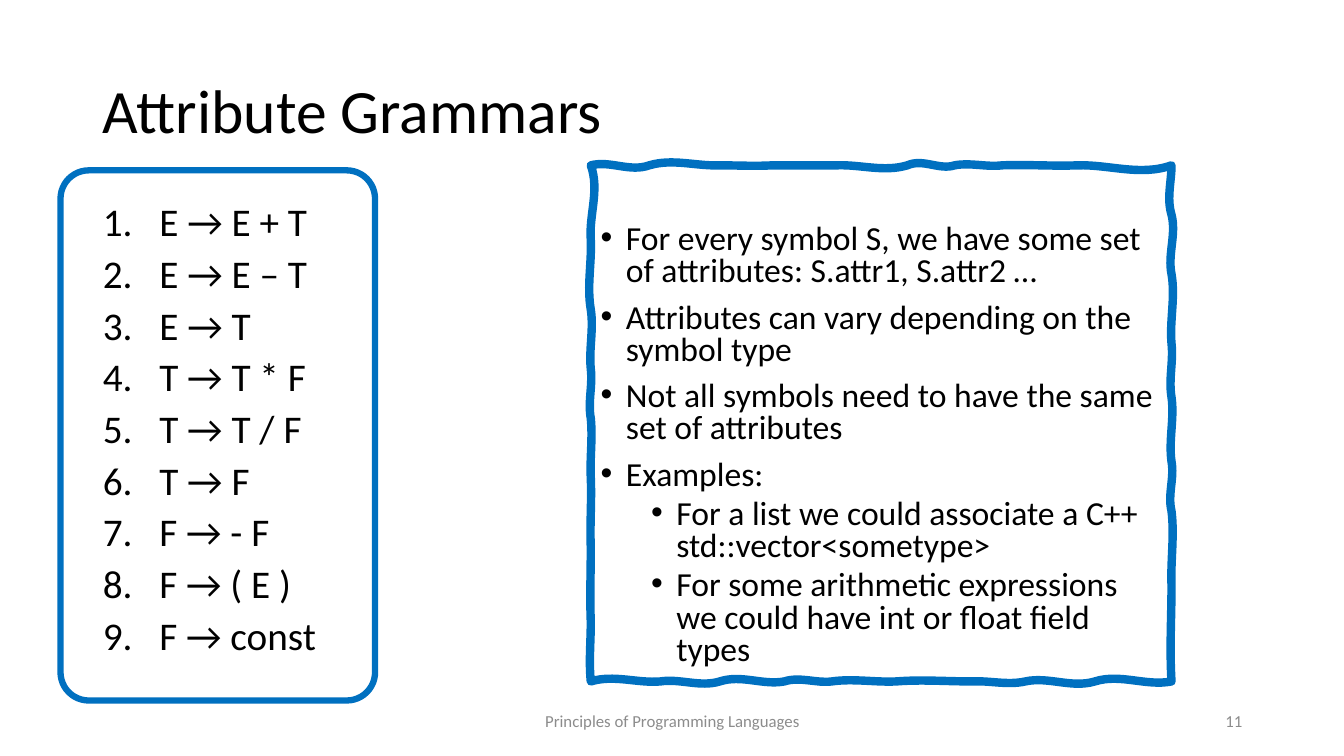
from lxml.etree import SubElement
from pptx import Presentation
from pptx.dml.color import RGBColor
from pptx.enum.shapes import MSO_SHAPE as SHAPE
from pptx.enum.text import MSO_ANCHOR as ANCHOR, MSO_AUTO_SIZE as AUTO, PP_ALIGN as ALIGN
from pptx.oxml.ns import qn
from pptx.util import Inches, Pt

# Content
TITLE = "Attribute Grammars"
RULES = ["E → E + T", "E → E – T", "E → T", "T → T * F", "T → T / F",
         "T → F", "F → - F", "F → ( E )", "F → const"]
NOTES = [
    (0, "For every symbol S, we have some set of attributes: S.attr1, S.attr2 …"),
    (0, "Attributes can vary depending on the symbol type"),
    (0, "Not all symbols need to have the same set of attributes"),
    (0, "Examples: "),
    (1, "For a list we could associate a C++ std::vector<sometype>"),
    (1, "For some arithmetic expressions we could have int or float field types"),
]
FOOTERS = [("Principles of Programming Languages", 4.42, 4.5, ALIGN.CENTER),
           ("11", 9.42, 3, ALIGN.RIGHT)]
BLACK, GREY, BLUE = "000000", "8C8C8C", "0070C0"

# Hand-drawn frame: each wave is (end along the side, first bend, second bend)
LEFT, TOP, RIGHT, BOTTOM = 5.86, 1.64, 11.62, 6.76
TOP_WAVES = [(6.44, -.05, .07), (7.14, -.07, .01), (7.66, 0, .01), (8.3, 0, 0),
             (9, -.01, .07), (9.47, -.07, .05), (9.94, -.03, .02),
             (10.69, -.01, .01), (RIGHT, -.01, .11)]
RIGHT_WAVES = [(2.13, 0, -.05), (2.72, .05, -.04), (3.41, .04, -.02),
               (3.94, .02, -.03), (4.58, .03, -.03), (5.07, .03, -.04),
               (5.81, .03, -.01), (BOTTOM, 0, -.02)]
BOTTOM_WAVES = [(10.86, .05, -.08), (10.17, .07, -.05), (9.64, .04, -.01),
                (8.89, 0, -.02), (8.25, .01, -.03), (7.78, .02, -.05),
                (7.14, .04, -.07), (6.55, .06, -.03), (LEFT, .02, -.07)]
LEFT_WAVES = [(6.17, -.02, 0), (5.43, -.01, 0), (4.74, -.01, .01),
              (4.15, -.01, .02), (3.66, -.03, .02), (3.07, -.02, .03),
              (2.38, -.04, .01), (TOP, -.02, .09)]
# Start along the side, fixed edge, waves, runs horizontally
SIDES = [(LEFT, TOP, TOP_WAVES, True), (TOP, RIGHT, RIGHT_WAVES, False),
         (RIGHT, BOTTOM, BOTTOM_WAVES, True), (BOTTOM, LEFT, LEFT_WAVES, False)]


def color(value):
    return RGBColor.from_string(value)


def place(part, left, top, width, height):
    part.left, part.top = Inches(left), Inches(top)
    part.width, part.height = Inches(width), Inches(height)


def write(paragraph, text, size, ink=BLACK):
    run = paragraph.add_run()
    run.text = text
    run.font.name, run.font.size = "Calibri", Pt(size)
    run.font.color.rgb = color(ink)


def fill_list(holder, items, size, indent, numbered=False):
    frame = holder.text_frame
    frame.word_wrap, frame.auto_size = True, AUTO.NONE
    frame.vertical_anchor = ANCHOR.TOP
    for i, (level, text) in enumerate(items):
        paragraph = frame.paragraphs[0] if i == 0 else frame.add_paragraph()
        paragraph.level, paragraph.line_spacing = level, 0.8
        paragraph.alignment = ALIGN.LEFT
        paragraph.space_before = Pt(5 if level else 10)
        paragraph.space_after = Pt(0)
        props = paragraph._p.get_or_add_pPr()
        props.set("marL", str(Inches(indent + level * 0.5)))
        props.set("indent", str(Inches(-indent)))
        if numbered:
            SubElement(props, qn("a:buFont"), typeface="+mj-lt")
            SubElement(props, qn("a:buAutoNum"), type="arabicPeriod")
        else:
            SubElement(props, qn("a:buFont"), typeface="Arial")
            SubElement(props, qn("a:buChar"), char="•")
        write(paragraph, text, size)


def outline(part, width):
    part.shadow.inherit = False
    part.fill.background()
    part.line.color.rgb = color(BLUE)
    part.line.width = Pt(width)


def curves():
    """Yield the two bends and the end point of every wave."""
    for start, edge, waves, horizontal in SIDES:
        for end, first, second in waves:
            third = (end - start) / 3
            points = [(start + third, edge + first),
                      (end - third, edge + second), (end, edge)]
            yield points if horizontal else [(x, y) for y, x in points]
            start = end


deck = Presentation()
deck.slide_width, deck.slide_height = Inches(13.33), Inches(7.5)
slide = deck.slides.add_slide(deck.slide_layouts[1])
title, grammar = slide.placeholders

# Title
place(title, 0.92, 0.4, 11.5, 1.45)
title.text_frame.vertical_anchor = ANCHOR.MIDDLE
heading = title.text_frame.paragraphs[0]
heading.alignment, heading.line_spacing = ALIGN.LEFT, 0.9
write(heading, TITLE, 44)

# Grammar rules
place(grammar, 0.92, 2, 3.19, 4.76)
fill_list(grammar, [(0, rule) for rule in RULES], 28, 0.56, numbered=True)

# Footer and page number
for text, left, width, align in FOOTERS:
    footer = slide.shapes.add_textbox(Inches(left), Inches(6.95), Inches(width), Inches(0.4))
    footer.text_frame.word_wrap = True
    footer.text_frame.vertical_anchor = ANCHOR.MIDDLE
    footer.text_frame.paragraphs[0].alignment = align
    write(footer.text_frame.paragraphs[0], text, 12, GREY)

# Wavy frame: straight segments first, then each one bent into a curve
sketch = slide.shapes.build_freeform(Inches(LEFT), Inches(TOP))
sketch.add_line_segments([(Inches(x), Inches(y)) for *_, (x, y) in curves()])
notes = sketch.convert_to_shape()
for segment, (*bends, _) in zip(list(notes._element.iter(qn("a:lnTo"))), curves()):
    segment.tag = qn("a:cubicBezTo")
    for i, (x, y) in enumerate(bends):
        bend = SubElement(segment, qn("a:pt"), x=str(Inches(x - LEFT)), y=str(Inches(y - TOP)))
        segment.insert(i, bend)
outline(notes, 6)

# Attribute notes inside the wavy frame
notes.text_frame.margin_top = Inches(0.59)
fill_list(notes, NOTES, 24, 0.25)

# Rounded frame around the grammar
grammar_frame = slide.shapes.add_shape(
    SHAPE.ROUNDED_RECTANGLE, Inches(0.6), Inches(1.69), Inches(3.12), Inches(5.26))
grammar_frame.adjustments[0] = 0.09
outline(grammar_frame, 4.5)

deck.save("out.pptx")
